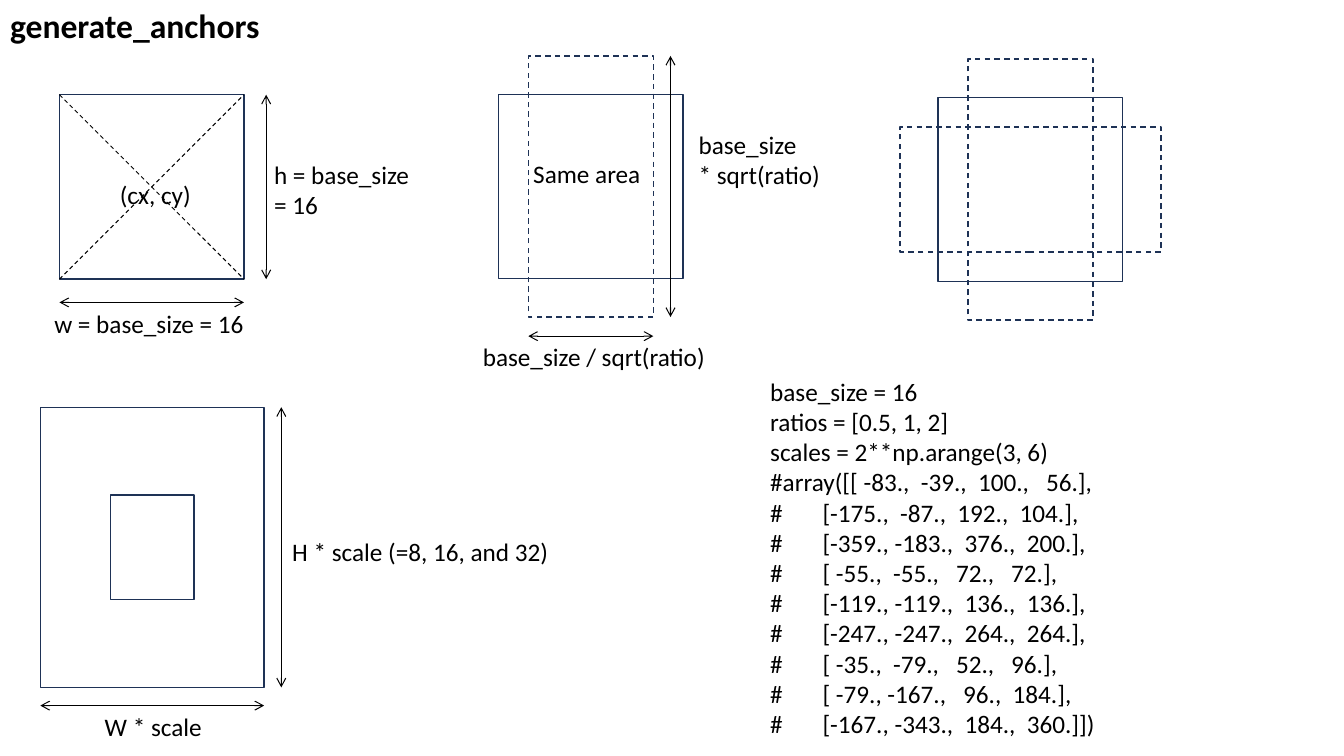
from lxml import etree
from pptx import Presentation
from pptx.dml.color import RGBColor
from pptx.enum.dml import MSO_LINE
from pptx.enum.shapes import MSO_CONNECTOR, MSO_SHAPE
from pptx.enum.text import MSO_ANCHOR, MSO_AUTO_SIZE, PP_ALIGN
from pptx.oxml.ns import qn
from pptx.util import Inches, Pt

NAVY = RGBColor(0x1E, 0x32, 0x56)
BLACK = RGBColor(0, 0, 0)
FONT = "Calibri"
SIDE = 1.83
TALL_WIDTH, TALL_HEIGHT = 1.24, 2.59

ANCHOR_CODE = """base_size = 16
ratios = [0.5, 1, 2]
scales = 2**np.arange(3, 6)
#array([[ -83.,  -39.,  100.,   56.],
#       [-175.,  -87.,  192.,  104.],
#       [-359., -183.,  376.,  200.],
#       [ -55.,  -55.,   72.,   72.],
#       [-119., -119.,  136.,  136.],
#       [-247., -247.,  264.,  264.],
#       [ -35.,  -79.,   52.,   96.],
#       [ -79., -167.,   96.,  184.],
#       [-167., -343.,  184.,  360.]])"""


def write_text(frame, text, size=18, bold=False, wrap=False):
    frame.word_wrap = wrap
    frame.auto_size = MSO_AUTO_SIZE.NONE
    frame.vertical_anchor = MSO_ANCHOR.TOP
    for index, line in enumerate(text.split("\n")):
        para = frame.paragraphs[0] if index == 0 else frame.add_paragraph()
        para.alignment = PP_ALIGN.LEFT
        span = para.add_run()
        span.text = line
        span.font.name = FONT
        span.font.size = Pt(size)
        span.font.bold = bold
        span.font.color.rgb = BLACK


def add_label(slide, text, left, top, width, height=0.4, **text_format):
    box = slide.shapes.add_textbox(*map(Inches, (left, top, width, height)))
    write_text(box.text_frame, text, **text_format)


def add_outline(slide, center_x, center_y, width, height, dashed=False):
    box = slide.shapes.add_shape(
        MSO_SHAPE.RECTANGLE, Inches(center_x - width / 2),
        Inches(center_y - height / 2), Inches(width), Inches(height))
    box.shadow.inherit = False
    box.fill.background()
    box.line.color.rgb = NAVY
    box.line.width = Pt(1)
    if dashed:
        box.line.dash_style = MSO_LINE.DASH


def add_line(slide, x1, y1, x2, y2, dashed=False):
    """Draw a dashed line, or a solid one with an arrowhead at each end."""
    line = slide.shapes.add_connector(
        MSO_CONNECTOR.STRAIGHT, *map(Inches, (x1, y1, x2, y2)))
    line.line.color.rgb = BLACK
    line.line.width = Pt(0.75)
    if dashed:
        line.line.dash_style = MSO_LINE.DASH
    else:
        outline = line.line._get_or_add_ln()
        for end in ("a:headEnd", "a:tailEnd"):
            etree.SubElement(outline, qn(end), type="arrow")
    etree.SubElement(line._element.spPr, qn("a:effectLst"))


def add_dimensions(slide, left, top, width, height, gap_right, gap_below):
    """Measure a box with an arrow to its right and one below it."""
    right, bottom = left + width, top + height
    add_line(slide, right + gap_right, top, right + gap_right, bottom)
    add_line(slide, left, bottom + gap_below, right, bottom + gap_below)


def add_title(slide):
    title = slide.shapes.title
    title.left, title.top, title.width, title.height = map(
        Inches, (0, 0, 3.37, 0.5))
    write_text(title.text_frame, "generate_anchors", size=24, bold=True, wrap=True)


def add_base_anchor(slide, left, top):
    right, bottom = left + SIDE, top + SIDE
    add_outline(slide, left + SIDE / 2, top + SIDE / 2, SIDE, SIDE)
    add_line(slide, left, bottom, right, top, dashed=True)
    add_line(slide, left, top, right, bottom, dashed=True)
    add_dimensions(slide, left, top, SIDE, SIDE, 0.22, 0.23)
    add_label(slide, "(cx, cy)", left + 0.5, top + 0.79, 0.91)
    add_label(slide, "w = base_size = 16", left - 0.15, bottom + 0.24, 2.15)
    add_label(slide, "h = base_size\n= 16", right + 0.2, top + 0.59, 1.58, 0.71)


def add_ratio_anchors(slide, center_x, center_y, with_wide=False):
    """Overlay a square with boxes of the same area and other ratios."""
    add_outline(slide, center_x, center_y, SIDE, SIDE)
    add_outline(slide, center_x, center_y, TALL_WIDTH, TALL_HEIGHT, dashed=True)
    if with_wide:
        add_outline(slide, center_x, center_y, TALL_HEIGHT, TALL_WIDTH, dashed=True)


def add_measured_ratio(slide, center_x, center_y):
    add_ratio_anchors(slide, center_x, center_y)
    left, top = center_x - TALL_WIDTH / 2, center_y - TALL_HEIGHT / 2
    add_dimensions(slide, left, top, TALL_WIDTH, TALL_HEIGHT, 0.17, 0.19)
    add_label(slide, "Same area", left - 0.05, top + 0.97, 1.28)
    add_label(slide, "base_size\n* sqrt(ratio)", left + 1.59, top + 0.68, 1.42, 0.71)
    add_label(slide, "base_size / sqrt(ratio)", left - 0.55, top + 2.78, 2.49)


def add_scaled_anchor(slide, left, top, width, height):
    center_x, center_y = left + width / 2, top + height / 2
    add_outline(slide, center_x, center_y, width, height)
    add_outline(slide, center_x, center_y, 0.83, 1.04)
    add_dimensions(slide, left, top, width, height, 0.17, 0.18)
    add_label(slide, "W * scale", left + 0.54, top + height + 0.19, 1.18)
    add_label(slide, "H * scale (=8, 16, and 32)", left + width + 0.18, top + 1.23, 2.78)


def main():
    deck = Presentation()
    deck.slide_width, deck.slide_height = Inches(13.33), Inches(7.5)
    slide = deck.slides.add_slide(deck.slide_layouts.get_by_name("Title Only"))
    add_title(slide)
    add_base_anchor(slide, 0.59, 0.94)
    add_measured_ratio(slide, 5.86, 1.85)
    add_ratio_anchors(slide, 10.22, 1.88, with_wide=True)
    add_scaled_anchor(slide, 0.4, 4.04, 2.22, 2.78)
    add_label(slide, ANCHOR_CODE, 7.54, 3.68, 5.22, 3.74, wrap=True)
    deck.save("out.pptx")


if __name__ == "__main__":
    main()
